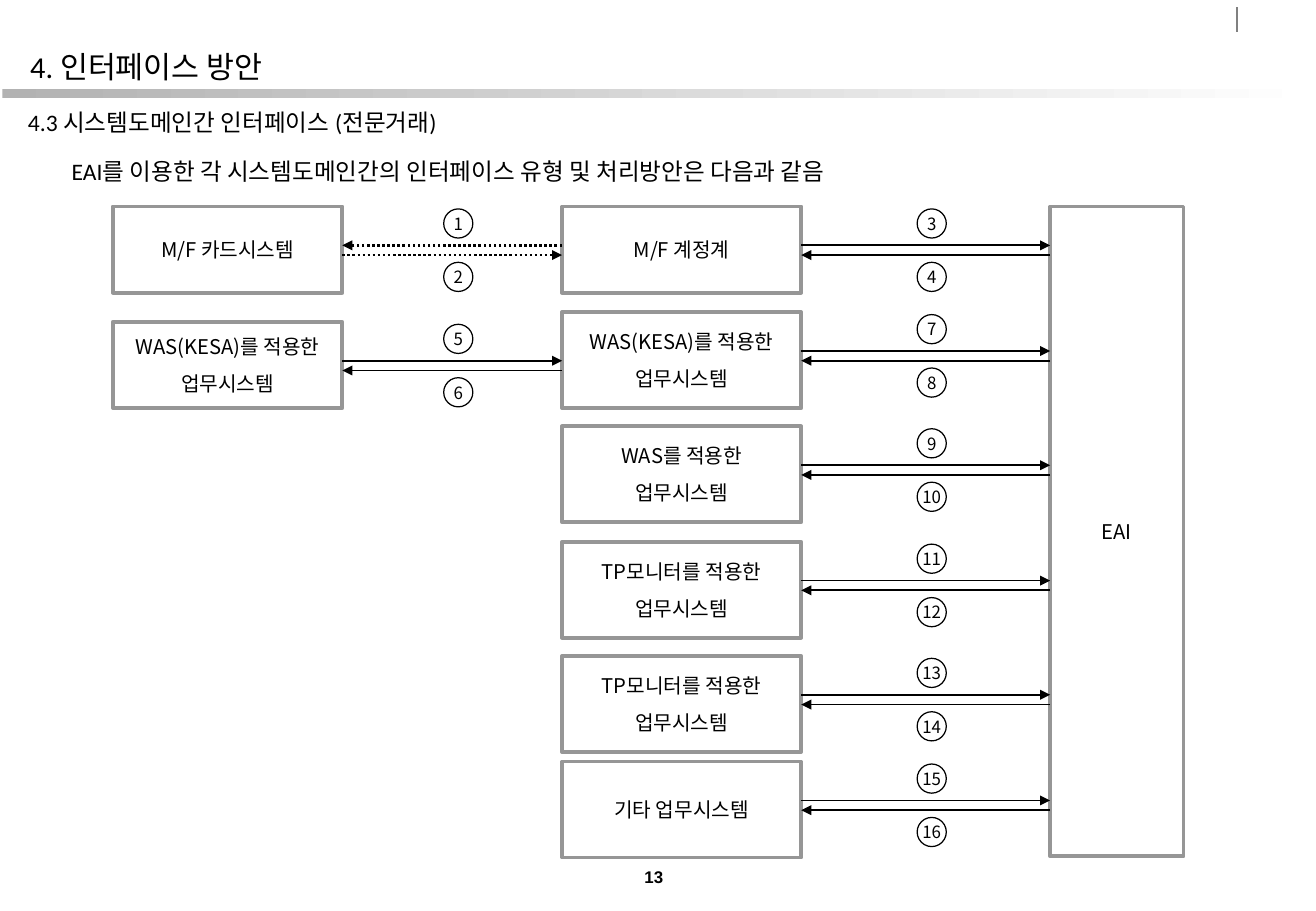
from lxml import etree
from pptx import Presentation
from pptx.dml.color import RGBColor
from pptx.enum import dml, shapes, text
from pptx.oxml.ns import qn
from pptx.util import Inches, Pt

KOR = "Noto Sans CJK KR"
GAP = 0.08
DOT = 0.24
DROP = 0.32
STEP = 0.22
APP = "업무시스템"
LEFT = [(1.7, 0.71, "M/F 카드시스템"),
        (2.65, 0.71, "WAS(KESA)를 적용한\n" + APP)]
MID = [(1.7, 0.71, "M/F 계정계"),
       (2.57, 0.79, "WAS(KESA)를 적용한\n" + APP),
       (3.51, 0.79, "WAS를 적용한\n" + APP),
       (4.46, 0.79, "TP모니터를 적용한\n" + APP),
       (5.4, 0.79, "TP모니터를 적용한\n" + APP),
       (6.27, 0.79, "기타 " + APP)]
COLS = {"left": (0.93, 1.89), "mid": (4.63, 1.97), "eai": (8.65, 1.1)}


def rgb(code):
    return RGBColor.from_string(code)


def write(shape, words, size, font=KOR, align=text.PP_ALIGN.CENTER,
          anchor=text.MSO_ANCHOR.MIDDLE, pad=(0.1, 0.05), wrap=False, bold=False):
    frame = shape.text_frame
    frame.text = words
    frame.word_wrap = wrap
    frame.vertical_anchor = anchor
    frame.margin_left = frame.margin_right = Inches(pad[0])
    frame.margin_top = frame.margin_bottom = Inches(pad[1])
    for i, para in enumerate(frame.paragraphs):
        para.alignment = align
        if i:
            para.space_before = Pt(7.5)
        for run in para.runs:
            run.font.name = font
            run.font.size = Pt(size)
            run.font.bold = bold
            run.font.color.rgb = rgb("000000")
            east = etree.SubElement(run.font._element, qn("a:ea"))
            east.set("typeface", KOR)


def label(slide, box, words, size, **look):
    write(slide.shapes.add_textbox(*map(Inches, box)), words, size, **look)


def block(slide, kind, box, fill=None, line=None, width=1):
    shape = slide.shapes.add_shape(kind, *map(Inches, box))
    shape.shadow.inherit = False
    if fill:
        shape.fill.solid()
        shape.fill.fore_color.rgb = rgb(fill)
    else:
        shape.fill.background()
    if line:
        shape.line.color.rgb = rgb(line)
        shape.line.width = Pt(width)
    else:
        shape.line.fill.background()
    return shape


def rule(slide, start, end, color="000000", width=1, arrow=False, dash=False):
    line = slide.shapes.add_connector(
        shapes.MSO_CONNECTOR.STRAIGHT, *map(Inches, start + end))
    line.line.color.rgb = rgb(color)
    line.line.width = Pt(width)
    if dash:
        line.line.dash_style = dml.MSO_LINE.ROUND_DOT
    if arrow:
        tip = etree.SubElement(line.line._get_or_add_ln(), qn("a:tailEnd"))
        tip.set("type", "triangle")
    etree.SubElement(line._element.spPr, qn("a:effectLst"))


def system(slide, box, words):
    shape = block(slide, shapes.MSO_SHAPE.RECTANGLE, box, "FFFFFF", "969696", 2.25)
    write(shape, words, 12)


def link(slide, x1, x2, y, first, back=False, dash=False):
    ends = [((x1, y), (x2, y)), ((x2, y + GAP), (x1, y + GAP))]
    if back:
        ends = [((x2, y), (x1, y)), ((x1, y + GAP), (x2, y + GAP))]
    for start, end in ends:
        rule(slide, start, end, width=1.5 if dash else 1, arrow=True, dash=dash)
    mid = (x1 + x2) / 2 + 0.05
    for i, shift in enumerate((-STEP - GAP / 2, STEP - GAP / 2)):
        box = (mid - DOT / 2, y + GAP / 2 + shift - DOT / 2 + GAP / 2, DOT, DOT)
        dot = block(slide, shapes.MSO_SHAPE.OVAL, box, line="000000", width=0.75)
        write(dot, str(first + i), 10, pad=(0, 0))


def head(slide, x, y, w):
    rule(slide, (x + 10.17, y + 0.06), (x + 10.17, y + 0.26), "808080")
    bar = block(slide, shapes.MSO_SHAPE.RECTANGLE, (x, y + 0.73, w, 0.08))
    bar.fill.gradient()
    bar.fill.gradient_angle = 0
    for stop, code in zip(bar.fill.gradient_stops, ("B2B2B2", "FFFFFF")):
        stop.color.rgb = rgb(code)
    look = dict(font="Calibri", align=text.PP_ALIGN.LEFT, wrap=True)
    label(slide, (x + 0.13, y + 0.35, 9.91, 0.4), "4. 인터페이스 방안", 18, **look)
    look.update(anchor=text.MSO_ANCHOR.TOP, pad=(0.07, 0.03))
    label(slide, (x + 0.14, y + 0.86, 10.3, 0.29),
          "4.3 시스템도메인간 인터페이스 (전문거래)", 14, **look)
    label(slide, (x + 0.5, y + 1.26, 9.9, 0.29),
          "EAI를 이용한 각 시스템도메인간의 인터페이스 유형 및 처리방안은 다음과 같음",
          14, **look)


def diagram(slide, top, tall):
    (lx, lw), (mx, mw), (ex, ew) = COLS.values()
    system(slide, (ex, top, ew, tall), "EAI")
    for x, w, rows in ((lx, lw, LEFT), (mx, mw, MID)):
        for y, h, words in rows:
            system(slide, (x, y, w, h), words)
    for i, (y, h, words) in enumerate(LEFT):
        link(slide, lx + lw, mx, y + DROP, 1 + 4 * i, back=i == 0, dash=i == 0)
    for i, (y, h, words) in enumerate(MID):
        link(slide, mx + mw, ex, y + DROP, 2 * i + (5 if i else 3))


def main():
    deck = Presentation()
    deck.slide_width = Inches(10.84)
    deck.slide_height = Inches(7.5)
    slide = deck.slides.add_slide(deck.slide_layouts[6])
    head(slide, 0.02, 0, 10.82)
    diagram(slide, 1.7, 5.35)
    label(slide, (5.09, 7.11, 0.59, 0.24), "13", 10, font="Arial",
          anchor=text.MSO_ANCHOR.BOTTOM, wrap=True, bold=True)
    deck.save("out.pptx")


if __name__ == "__main__":
    main()
